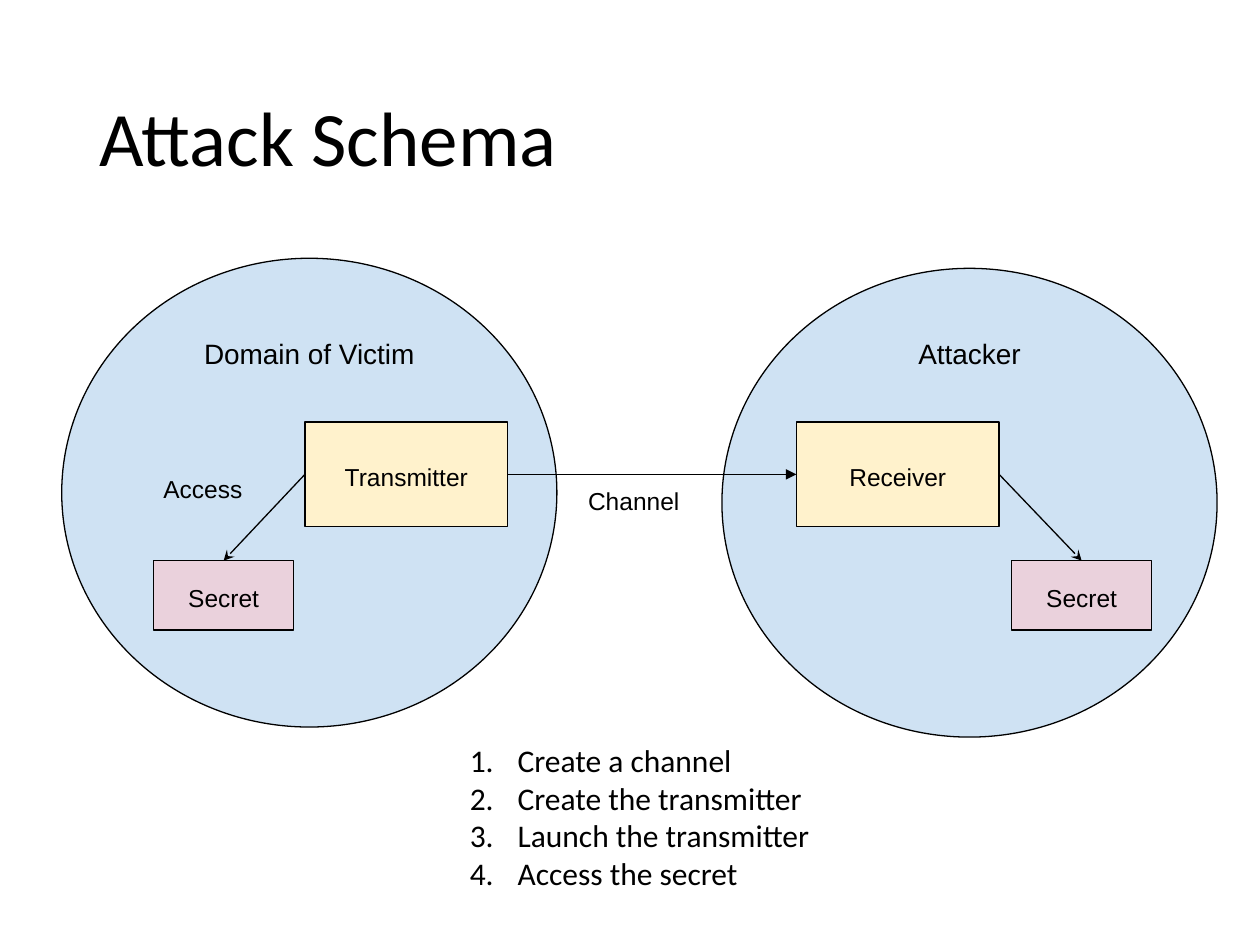
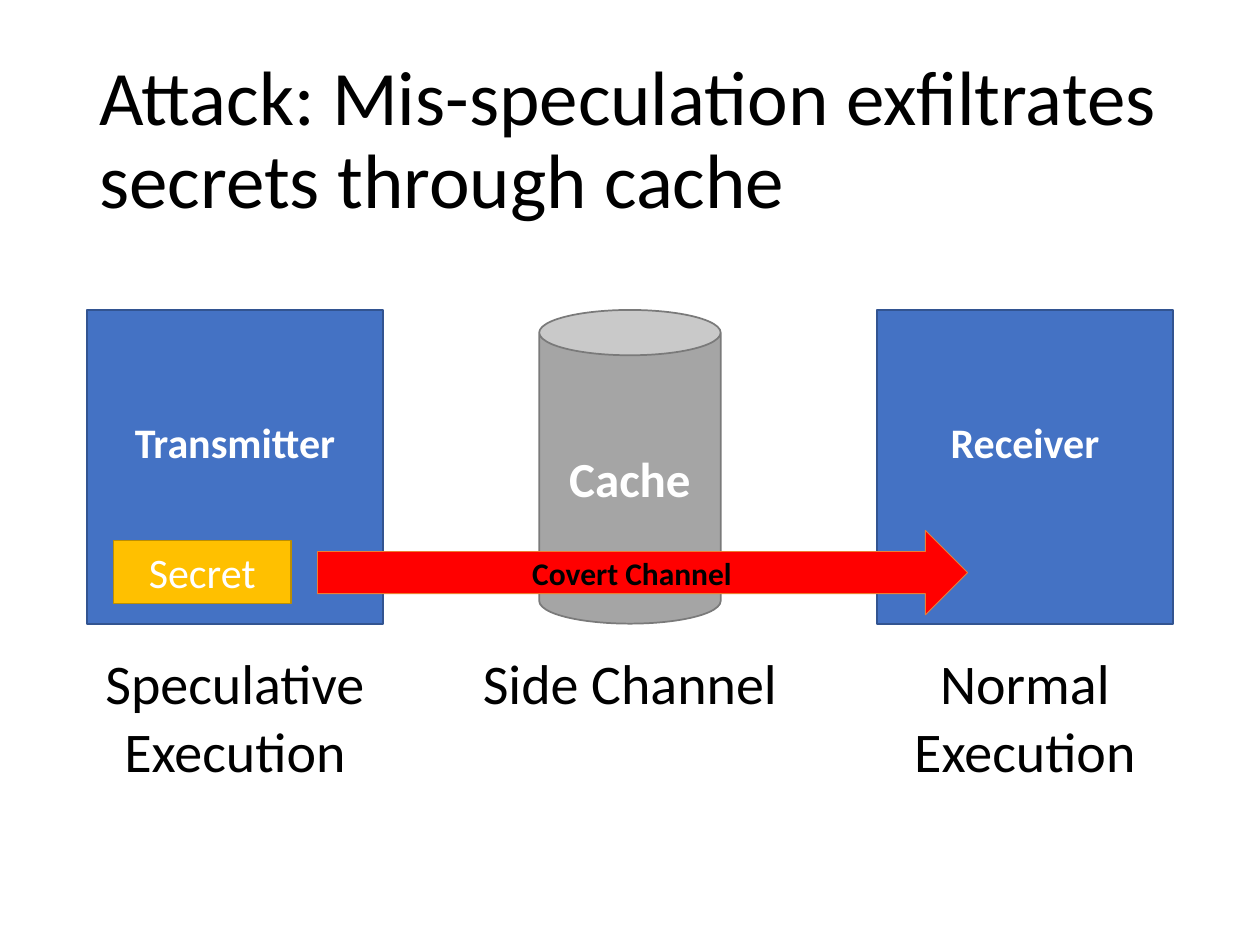
from lxml.etree import SubElement
from pptx import Presentation
from pptx.dml.color import RGBColor
from pptx.enum.shapes import MSO_CONNECTOR, MSO_SHAPE
from pptx.enum.text import MSO_ANCHOR, PP_ALIGN
from pptx.oxml.ns import qn
from pptx.util import Inches, Pt

BLACK, WHITE = "000000", "FFFFFF"
SKY, CREAM, PINK = "CFE2F3", "FFF2CC", "EAD1DC"
BLUE, NAVY = "4472C4", "325491"
GRAY, SLATE = "A5A5A5", "7A7A7A"
GOLD, BRONZE = "FFC000", "BD8E00"
RED, ORANGE = "FF0000", "ED7D31"

TITLES = ["Attack Schema",
          "Attack: Mis-speculation exfiltrates secrets through cache"]
DOMAINS = [("Attacker", 5.73, 2.13), ("Domain of Victim", 0.49, 2.05)]
PARTIES = [("Transmitter", 2.42, 1.22, 1), ("Receiver", 6.32, 8.03, 3)]
NOTES = [("Channel", 4.34, 3.72), ("Access", 0.92, 3.63)]
STEPS = ["Create a channel", "Create the transmitter",
         "Launch the transmitter", "Access the secret"]

STAGES = [
    ("Transmitter", ["Speculative", "Execution"], MSO_SHAPE.RECTANGLE,
     2.35, BLUE, NAVY, 24, 0.45),
    ("Cache", ["Side Channel"], MSO_SHAPE.CAN, 1.44, GRAY, SLATE, 28, 0.05),
    ("Receiver", ["Normal", "Execution"], MSO_SHAPE.RECTANGLE,
     2.35, BLUE, NAVY, 24, 0.45),
]
FIRST, PITCH, CAPTION = 1.865, 3.135, 2.75

DIAGRAM = dict(font="Arial", size=14, center=True, spacing=1.15,
               pads=(0.1, 0.1, 0.1, 0.1))


def color(code):
    return RGBColor.from_string(code)


def write(shape, lines, size=18, font="Calibri", ink=BLACK, bold=False,
          center=False, middle=False, spacing=None, numbered=False,
          pads=(0.1, 0.05, 0.1, 0.05)):
    frame = shape.text_frame
    frame.word_wrap = True
    frame.vertical_anchor = MSO_ANCHOR.MIDDLE if middle else MSO_ANCHOR.TOP
    (frame.margin_left, frame.margin_top,
     frame.margin_right, frame.margin_bottom) = map(Inches, pads)
    lines = [lines] if isinstance(lines, str) else lines
    for i, line in enumerate(lines):
        para = frame.add_paragraph() if i else frame.paragraphs[0]
        if numbered:
            props = para._p.get_or_add_pPr()
            props.set("marL", str(Inches(0.38)))
            props.set("indent", str(Inches(-0.38)))
            SubElement(props, qn("a:buFont"), typeface="+mj-lt")
            SubElement(props, qn("a:buAutoNum"), type="arabicPeriod")
        para.alignment = PP_ALIGN.CENTER if center else PP_ALIGN.LEFT
        if spacing:
            para.line_spacing = spacing
        run = para.add_run()
        run.text = line
        run.font.name, run.font.size = font, Pt(size)
        run.font.bold = bold
        run.font.color.rgb = color(ink)


def label(slide, lines, box, **style):
    write(slide.shapes.add_textbox(*map(Inches, box)), lines, **style)


def draw(slide, kind, box, fill, edge=BLACK, width=0.75, text=None, **style):
    shape = slide.shapes.add_shape(kind, *map(Inches, box))
    shape.shadow.inherit = False
    shape.fill.solid()
    shape.fill.fore_color.rgb = color(fill)
    shape.line.color.rgb = color(edge)
    shape.line.width = Pt(width)
    if text:
        write(shape, text, middle=True, **style)
    return shape


def link(slide, start, side, end, port, head):
    line = slide.shapes.add_connector(MSO_CONNECTOR.STRAIGHT, 0, 0, 0, 0)
    line.begin_connect(start, side)
    line.end_connect(end, port)
    line.line.color.rgb = color(BLACK)
    line.line.width = Pt(0.75)
    SubElement(line.line._get_or_add_ln(), qn("a:tailEnd"), type=head)
    SubElement(line._element.spPr, qn("a:effectLst"))


def start(deck, title):
    slide = deck.slides.add_slide(deck.slide_layouts[6])
    label(slide, title, (0.69, 0.4, 8.62, 1.45), size=44, middle=True,
          spacing=0.9)
    return slide


def schema(deck):
    slide = start(deck, TITLES[0])
    for name, left, top in DOMAINS:
        draw(slide, MSO_SHAPE.OVAL, (left, top, 3.93, 3.72), SKY)
        label(slide, name, (left + 0.63, 2.53, 2.67, 0.55),
              **{**DIAGRAM, "size": 16})
    ends = []
    for name, left, nook, side in PARTIES:
        party = draw(slide, MSO_SHAPE.RECTANGLE, (left, 3.35, 1.61, 0.83),
                     CREAM, text=name, **DIAGRAM)
        secret = draw(slide, MSO_SHAPE.RECTANGLE, (nook, 4.45, 1.11, 0.55),
                      PINK, text="Secret", **DIAGRAM)
        link(slide, party, side, secret, 0, "stealth")
        ends.append(party)
    link(slide, ends[0], 3, ends[1], 1, "triangle")
    for note, left, top in NOTES:
        label(slide, note, (left, top, 1.38, 0.55), **DIAGRAM)
    label(slide, STEPS, (3.63, 5.83, 2.92, 1.31), numbered=True)


def attack(deck):
    slide = start(deck, TITLES[1])
    for i, (name, words, kind, wide, fill, edge, size, pad) in enumerate(STAGES):
        mid = FIRST + i * PITCH
        draw(slide, kind, (mid - wide / 2, 2.46, wide, 2.49), fill, edge, 1,
             name, size=size, ink=WHITE, bold=True, center=True,
             pads=(0.1, 0.05, 0.1, pad))
        label(slide, words, (mid - CAPTION / 2, 5.1, CAPTION,
                             0.1 + 0.54 * len(words)), size=32, center=True)
    draw(slide, MSO_SHAPE.RIGHT_ARROW, (2.52, 4.21, 5.16, 0.67), RED, ORANGE,
         0.5, "Covert Channel", bold=True, center=True)
    draw(slide, MSO_SHAPE.RECTANGLE, (0.9, 4.29, 1.41, 0.5), GOLD, BRONZE, 1,
         "Secret", size=24, ink=WHITE, center=True)


def main():
    deck = Presentation()
    deck.slide_width, deck.slide_height = Inches(10), Inches(7.5)
    schema(deck)
    attack(deck)
    deck.save("out.pptx")


if __name__ == "__main__":
    main()
